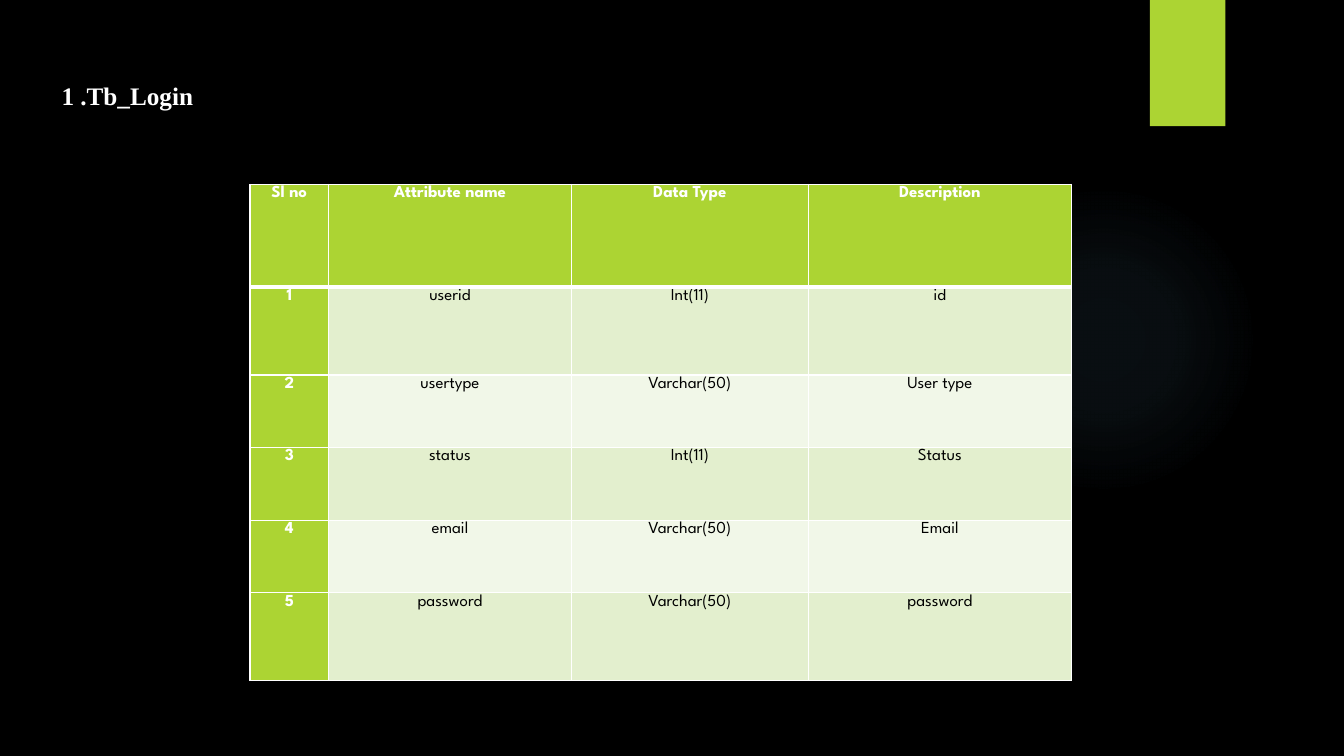
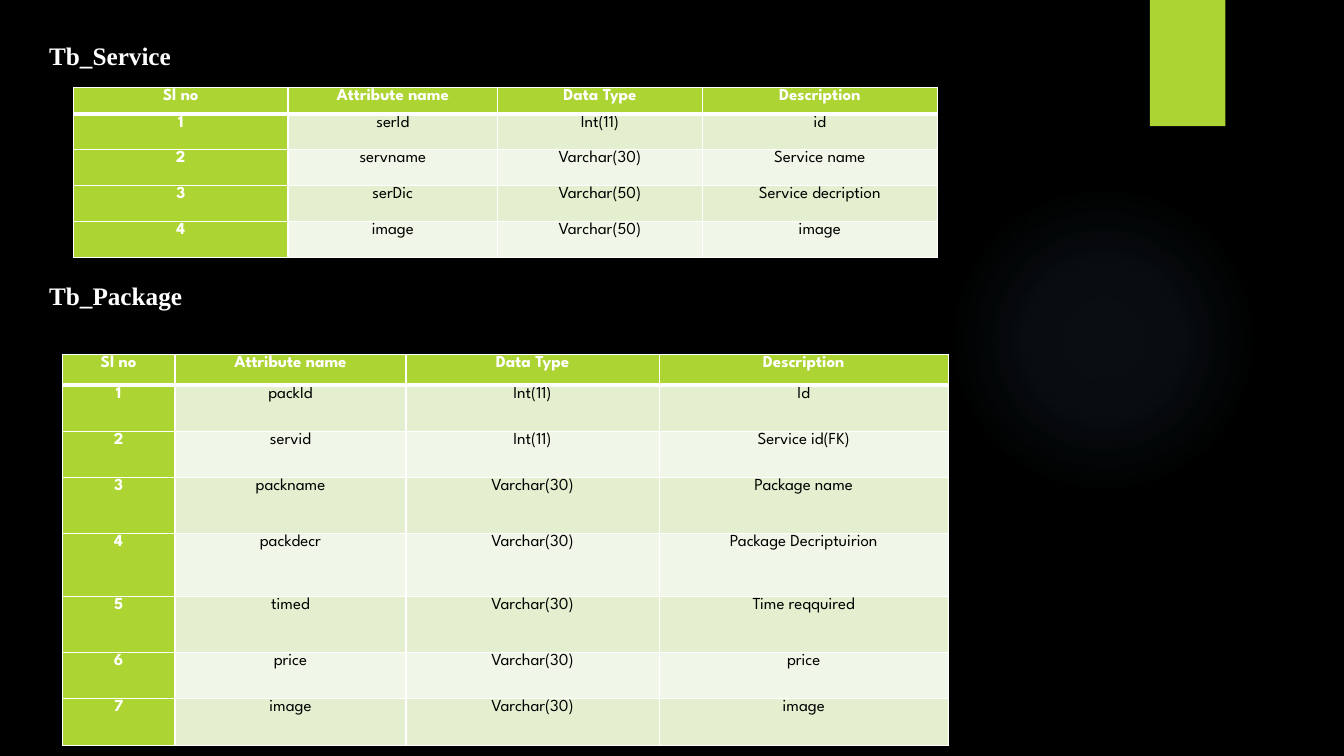
from pptx import Presentation
from pptx.dml.color import RGBColor as Rgb
from pptx.enum.shapes import MSO_SHAPE as Kind
from pptx.enum.text import MSO_ANCHOR as Anchor, MSO_AUTO_SIZE as Auto, PP_ALIGN as Align
from pptx.oxml import parse_xml
from pptx.oxml.ns import nsdecls
from pptx.util import Cm, Pt

# Shared look
BLACK, WHITE, LIME = "000000", "FFFFFF", "ACD433"
BANDS = ["E3EFCE", "F1F7E8"]
GLOW = "7AC4F0"
HEAD = {"name": "Times New Roman", "size": Pt(18), "bold": True}
BODY = {"name": "League Spartan", "size": Pt(12), "bold": False}
LABEL = {**BODY, "bold": True}
LEFT = {"alignment": Align.LEFT}
LOOSE = {"line_spacing": 1.09, "space_after": Pt(15.3)}
CENTER = {"alignment": Align.CENTER, **LOOSE}
INSETS = {"margin_left": Cm(0.18), "margin_right": Cm(0.18),
          "margin_top": 0, "margin_bottom": 0}
FRAME = {"word_wrap": False, "auto_size": Auto.NONE, "vertical_anchor": Anchor.TOP,
         "margin_left": Cm(0.25), "margin_right": Cm(0.25),
         "margin_top": Cm(0.13), "margin_bottom": Cm(0.13)}
PLAIN = {"first_row": False, "horz_banding": False}
COLUMNS = ["Sl no", "Attribute name", "Data Type", "Description"]

# Table contents
LOGIN = [("userid", "Int(11)", "id"),
         ("usertype", "Varchar(50)", "User type"),
         ("status", "Int(11)", "Status"),
         ("email", "Varchar(50)", "Email"),
         ("password", "Varchar(50)", "password")]
SERVICE = [("serId", "Int(11)", "id"),
           ("servname", "Varchar(30)", "Service name"),
           ("serDic", "Varchar(50)", "Service decription"),
           ("image", "Varchar(50)", "image")]
PACKAGE = [("packId", "Int(11)", "Id"),
           ("servid", "Int(11)", "Service id(FK)"),
           ("packname", "Varchar(30)", "Package name"),
           ("packdecr", "Varchar(30)", "Package Decriptuirion"),
           ("timed", "Varchar(30)", "Time reqquired"),
           ("price", "Varchar(30)", "price"),
           ("image", "Varchar(30)", "image")]


def style(item, values):
    for name, value in values.items():
        setattr(item, name, value)


def paint(fill, color):
    fill.solid()
    fill.fore_color.rgb = Rgb.from_string(color)


def write(frame, text, font, color, layout):
    para = frame.paragraphs[0]
    style(para, layout)
    run = para.add_run()
    run.text = text
    style(run.font, font)
    run.font.color.rgb = Rgb.from_string(color)


# Master: black ground, soft glow and lime tab
def shape(slide, kind, box):
    item = slide.shapes.add_shape(kind, *map(Cm, box))
    item.shadow.inherit = False
    item.line.fill.background()
    return item


def glow(item):
    stops = "".join(
        f'<a:gs pos="{pos * 1000}"><a:srgbClr val="{GLOW}">'
        f'<a:alpha val="{alpha * 1000}"/></a:srgbClr></a:gs>'
        for pos, alpha in [(0, 7), (36, 6), (69, 0)])
    item.element.spPr.find("{*}prstGeom").addnext(parse_xml(
        f'<a:gradFill {nsdecls("a")}><a:gsLst>{stops}</a:gsLst><a:path path="circle">'
        '<a:fillToRect l="50000" t="50000" r="50000" b="50000"/></a:path></a:gradFill>'))


def decorate(deck, slide):
    master = deck.slide_master
    paint(master.background.fill, BLACK)
    halo = shape(slide, Kind.OVAL, (23.9, 4.65, 7.82, 7.82))
    glow(halo)
    tab = shape(slide, Kind.RECTANGLE, (28.98, 0, 1.9, 3.18))
    paint(tab.fill, LIME)
    for item in (halo, tab):
        master.element.cSld.spTree.append(item.element)


# Headings
def head(item, text, box, layout=LEFT):
    style(item, dict(zip(("left", "top", "width", "height"), map(Cm, box))))
    style(item.text_frame, FRAME)
    write(item.text_frame, text, HEAD, WHITE, layout)


# Tables
def border(cell, top, base):
    props = cell._tc.get_or_add_tcPr()
    for spot, (side, width) in enumerate(zip("LRTB", (1, 1, top, base))):
        props.insert(spot, parse_xml(
            f'<a:ln{side} {nsdecls("a")} w="{Pt(width)}"><a:solidFill>'
            f'<a:srgbClr val="{WHITE}"/></a:solidFill></a:ln{side}>'))


def grid(slide, spot, widths, heights, data):
    rows = [COLUMNS] + [(str(num), *row) for num, row in enumerate(data, 1)]
    box = (*spot, sum(widths), sum(heights))
    table = slide.shapes.add_table(len(rows), len(widths), *map(Cm, box)).table
    style(table, PLAIN)
    for col, width in zip(table.columns, widths):
        col.width = Cm(width)
    for r, (row, height) in enumerate(zip(rows, heights)):
        table.rows[r].height = Cm(height)
        for c, text in enumerate(row):
            cell = table.cell(r, c)
            label = r == 0 or c == 0
            style(cell, INSETS)
            paint(cell.fill, LIME if label else BANDS[(r - 1) % 2])
            border(cell, 3 if r == 1 else 1, 3 if r == 0 else 1)
            write(cell.text_frame, text, LABEL if label else BODY,
                  WHITE if label else BLACK, CENTER)


def main():
    deck = Presentation()
    style(deck, {"slide_width": Cm(33.87), "slide_height": Cm(19.05)})
    first, second = (deck.slides.add_slide(deck.slide_layouts[5]) for _ in range(2))
    decorate(deck, first)

    # Login table
    head(first.shapes.title, "1 .Tb_Login ", (1.3, 1.83, 5, 1.09), {**LEFT, **LOOSE})
    grid(first, (6.3, 4.65), [1.98, 6.12, 5.97, 6.63],
         [2.59, 2.21, 1.83, 1.83, 1.83, 2.21], LOGIN)

    # Service and package tables
    head(second.shapes.title, "Tb_Service", (0.99, 0.89, 3.61, 1.02))
    grid(second, (1.85, 2.21), [5.41, 5.28, 5.16, 5.92],
         [0.66, 0.89, 0.91, 0.91, 0.91], SERVICE)
    box = (0.99, 6.93, 3.89, 1.02)
    head(second.shapes.add_textbox(*map(Cm, box)), "Tb_Package", box)
    grid(second, (1.57, 8.94), [2.84, 5.82, 6.38, 7.29],
         [0.76, 1.17, 1.17, 1.4, 1.6, 1.4, 1.17, 1.17], PACKAGE)
    deck.save("out.pptx")


if __name__ == "__main__":
    main()
